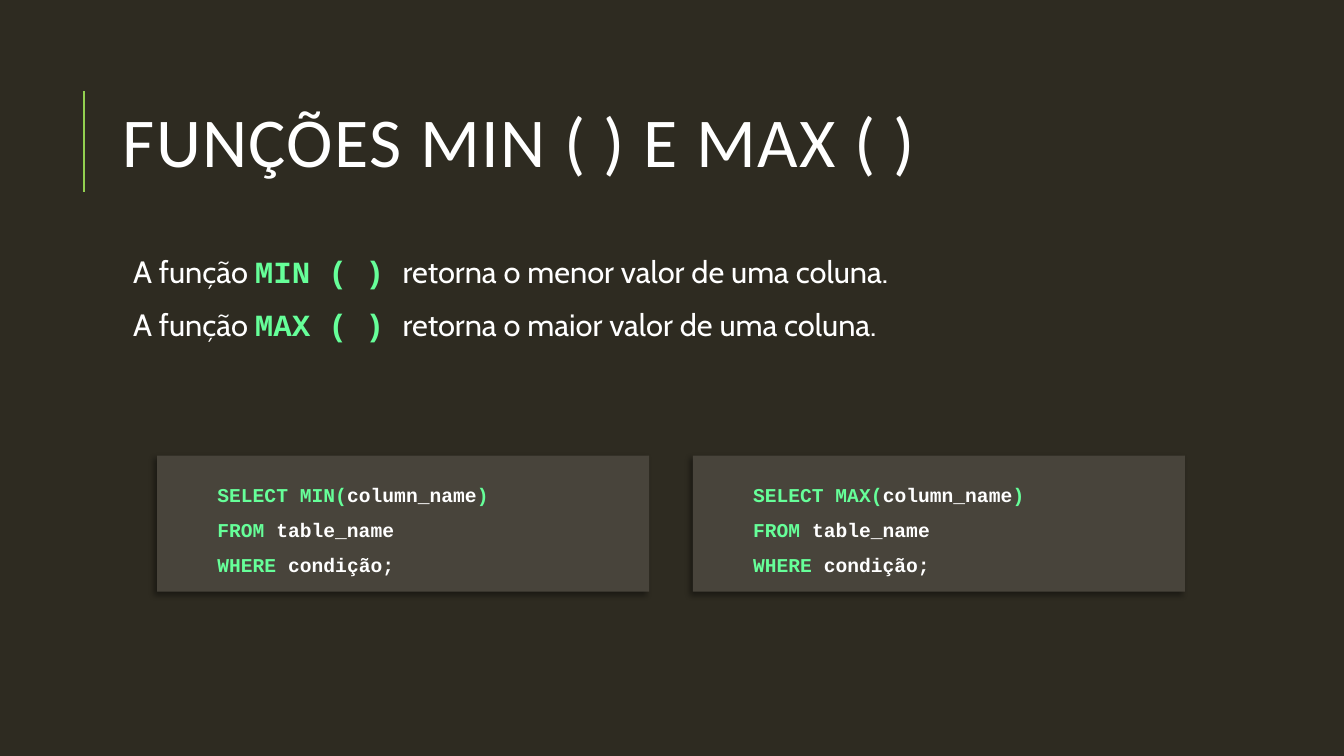
import lxml.etree
import pptx
import pptx.dml.color
import pptx.enum.shapes
import pptx.enum.text
import pptx.oxml
import pptx.oxml.ns
import pptx.util

Cm = pptx.util.Cm
Pt = pptx.util.Pt
RGBColor = pptx.dml.color.RGBColor
qn = pptx.oxml.ns.qn

BACKGROUND = RGBColor(0x2E, 0x2B, 0x21)
PANEL = RGBColor(0x48, 0x44, 0x3B)
ACCENT = RGBColor(0x92, 0xD0, 0x50)
KEYWORD = RGBColor(0x66, 0xFF, 0x99)
WHITE = RGBColor(0xFF, 0xFF, 0xFF)

CODE_FONT = "Courier New"
BODY_FONT = "Cabin"
TITLE_FONT = "Calibri"

DRAWING_NS = "http://schemas.openxmlformats.org/drawingml/2006/main"
BULLET = (
    f'<a:buClr xmlns:a="{DRAWING_NS}"><a:srgbClr val="{ACCENT}"/></a:buClr>',
    f'<a:buChar xmlns:a="{DRAWING_NS}" char=" "/>',
)
PANEL_SHADOW = (
    f'<a:outerShdw xmlns:a="{DRAWING_NS}" blurRad="{Pt(4)}" dist="{Pt(3)}"'
    ' dir="8100000" algn="tr" rotWithShape="0">'
    '<a:srgbClr val="000000"><a:alpha val="40000"/></a:srgbClr></a:outerShdw>'
)


def add_run(paragraph, text, font, size, color, bold=False):
    run = paragraph.add_run()
    run.text = text
    run.font.name = font
    run.font.size = Pt(size)
    run.font.color.rgb = color
    run.font.bold = bold
    return run


def paragraphs_for(frame, items):
    """Yield each item with its own paragraph of the frame."""
    for index, item in enumerate(items):
        yield (frame.add_paragraph() if index else frame.paragraphs[0]), item


def set_indent(paragraph, margin, indent):
    properties = paragraph._p.get_or_add_pPr()
    properties.set("marL", str(margin))
    properties.set("indent", str(indent))
    return properties


def add_title(slide, left, top, width, height, title):
    rule_x = left - Cm(0.73)
    rule = slide.shapes.add_connector(
        pptx.enum.shapes.MSO_CONNECTOR.STRAIGHT,
        rule_x, top + Cm(3.2), rule_x, top + Cm(0.66))
    rule.line.color.rgb = ACCENT
    rule.line.width = Pt(1.5)
    lxml.etree.SubElement(rule._element.spPr, qn("a:effectLst"))

    frame = slide.shapes.add_textbox(left, top, width, height).text_frame
    frame.word_wrap = True
    frame.vertical_anchor = pptx.enum.text.MSO_ANCHOR.MIDDLE
    paragraph = frame.paragraphs[0]
    paragraph.line_spacing = 0.8
    run = add_run(paragraph, title, TITLE_FONT, 50, WHITE)
    run._r.get_or_add_rPr().set("spc", "100")


def add_definitions(slide, left, top, width, height, definitions):
    frame = slide.shapes.add_textbox(left, top, width, height).text_frame
    frame.word_wrap = True
    frame.margin_left = frame.margin_right = Cm(0.13)
    frame.margin_top = frame.margin_bottom = Cm(0.13)
    for paragraph, (function, extreme) in paragraphs_for(frame, definitions):
        paragraph.line_spacing = 0.9
        paragraph.space_before = Pt(12)
        paragraph.space_after = Pt(2)
        properties = set_indent(paragraph, Cm(0.25), -Cm(0.25))
        for part in BULLET:
            properties.append(pptx.oxml.parse_xml(part))
        add_run(paragraph, "A função ", BODY_FONT, 22, WHITE)
        add_run(paragraph, f"{function} ( ) ", CODE_FONT, 22, KEYWORD, True)
        add_run(paragraph, f"retorna o {extreme} valor de uma coluna.",
                BODY_FONT, 22, WHITE)


def add_query_panel(slide, left, top, width, height, function):
    panel = slide.shapes.add_shape(
        pptx.enum.shapes.MSO_SHAPE.RECTANGLE, left, top, width, height)
    panel.fill.solid()
    panel.fill.fore_color.rgb = PANEL
    panel.line.fill.background()
    panel.shadow.inherit = False
    effects = panel._element.spPr.find(qn("a:effectLst"))
    effects.append(pptx.oxml.parse_xml(PANEL_SHADOW))

    query = (
        ((f"SELECT {function}(", KEYWORD), ("column_name", WHITE), (")", KEYWORD)),
        (("FROM ", KEYWORD), ("table_name", WHITE)),
        (("WHERE ", KEYWORD), ("condição;", WHITE)),
    )
    frame = panel.text_frame
    frame.word_wrap = True
    frame.vertical_anchor = pptx.enum.text.MSO_ANCHOR.MIDDLE
    for paragraph, clause in paragraphs_for(frame, query):
        paragraph.level = 1
        paragraph.alignment = pptx.enum.text.PP_ALIGN.LEFT
        paragraph.line_spacing = 1.5
        set_indent(paragraph, Cm(1.27), 0)
        for text, color in clause:
            add_run(paragraph, text, CODE_FONT, 14, color, True)


def main():
    presentation = pptx.Presentation()
    presentation.slide_width = Cm(33.87)
    presentation.slide_height = Cm(19.05)
    slide = presentation.slides.add_slide(presentation.slide_layouts[6])
    slide.background.fill.solid()
    slide.background.fill.fore_color.rgb = BACKGROUND

    content_left, content_width = Cm(2.84), Cm(27)
    add_title(slide, content_left, Cm(1.63), content_width, Cm(4.17),
              "FUNÇÕES MIN ( ) E MAX ( )")
    add_definitions(slide, content_left, Cm(6.35), content_width, Cm(11.18),
                    (("MIN", "menor"), ("MAX", "maior")))

    panel_width, panel_gap = Cm(12.4), Cm(1.1)
    for column, function in enumerate(("MIN", "MAX")):
        panel_left = Cm(3.96) + column * (panel_width + panel_gap)
        add_query_panel(slide, panel_left, Cm(11.48), panel_width, Cm(3.43), function)

    presentation.save("out.pptx")


if __name__ == "__main__":
    main()
